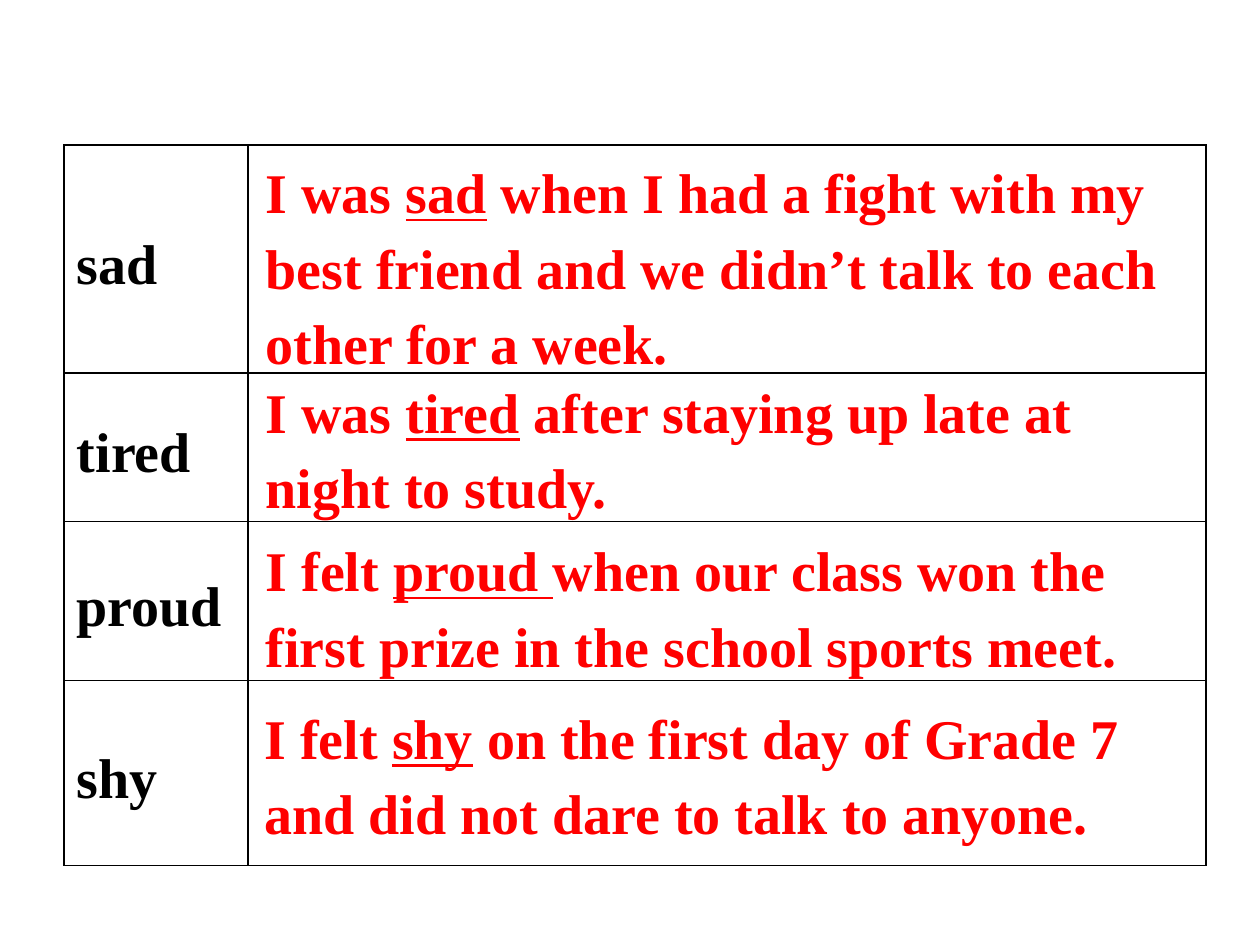
from dataclasses import dataclass

from lxml import etree
from pptx import Presentation
from pptx.dml.color import RGBColor
from pptx.enum.text import MSO_ANCHOR, MSO_AUTO_SIZE
from pptx.oxml.ns import qn
from pptx.util import Inches, Pt

MIDDLE = MSO_ANCHOR.MIDDLE
GROW = MSO_AUTO_SIZE.SHAPE_TO_FIT_TEXT


@dataclass(frozen=True)
class Theme:
    font: str = "Times New Roman"
    size: int = 32
    ink: str = "000000"
    answer: str = "FF0000"
    paper: str = "FFFFFF"
    border: int = 1
    word_spacing: float = 1.2
    answer_spacing: float = 1.12


THEME = Theme()
COLUMN_WIDTHS = (1.46, 7.6)
ROW_HEIGHTS = (1.81, 1.18, 1.26, 1.47)
FEELINGS = ("sad", "tired", "proud", "shy")
ANSWERS = (
    ((2.01, 1.14, 7.64, 1.91), "I was ", "sad",
     " when I had a fight with my best friend and we didn’t talk to each other for a week."),
    ((2.01, 2.88, 7.64, 1.31), "I was ", "tired",
     " after staying up late at night to study."),
    ((2.01, 4.14, 7.48, 1.31), "I felt ", "proud ",
     "when our class won the first prize in the school sports meet."),
    ((2, 5.47, 7.44, 1.31), "I felt ", "shy",
     " on the first day of Grade 7 and did not dare to talk to anyone."),
)


def add_span(para, text, *, color, underline=False):
    span = para.add_run()
    span.text = text
    span.font.name = THEME.font
    span.font.size = Pt(THEME.size)
    span.font.bold = True
    span.font.underline = underline
    span.font.color.rgb = RGBColor.from_string(color)


def style_cell(cell):
    properties = cell._tc.get_or_add_tcPr()
    for side in ("a:lnL", "a:lnR", "a:lnT", "a:lnB"):
        line = etree.SubElement(properties, qn(side), w=str(Pt(THEME.border)))
        fill = etree.SubElement(line, qn("a:solidFill"))
        etree.SubElement(fill, qn("a:srgbClr"), val=THEME.ink)
    cell.fill.solid()
    cell.fill.fore_color.rgb = RGBColor.from_string(THEME.paper)
    cell.vertical_anchor = MIDDLE


def add_feelings_table(page, box):
    frame = page.shapes.add_table(len(ROW_HEIGHTS), len(COLUMN_WIDTHS), *map(Inches, box))
    table = frame.table
    for column, width in zip(table.columns, COLUMN_WIDTHS):
        column.width = Inches(width)
    for row, height, feeling in zip(table.rows, ROW_HEIGHTS, FEELINGS):
        row.height = Inches(height)
        for cell in row.cells:
            style_cell(cell)
        para = row.cells[0].text_frame.paragraphs[0]
        para.line_spacing = THEME.word_spacing
        add_span(para, feeling, color=THEME.ink)


def add_answer(page, box, opening, feeling, ending):
    frame = page.shapes.add_textbox(*map(Inches, box)).text_frame
    frame.word_wrap = True
    frame.auto_size = GROW
    para = frame.paragraphs[0]
    para.line_spacing = THEME.answer_spacing
    add_span(para, opening, color=THEME.answer)
    add_span(para, feeling, color=THEME.answer, underline=True)
    add_span(para, ending, color=THEME.answer)


def main():
    deck = Presentation()
    deck.slide_width = Inches(10)
    deck.slide_height = Inches(7.5)
    page = deck.slides.add_slide(deck.slide_layouts[6])
    add_feelings_table(page, (0.51, 1.15, sum(COLUMN_WIDTHS), sum(ROW_HEIGHTS)))
    for box, *words in ANSWERS:
        add_answer(page, box, *words)
    deck.save("out.pptx")


if __name__ == "__main__":
    main()
